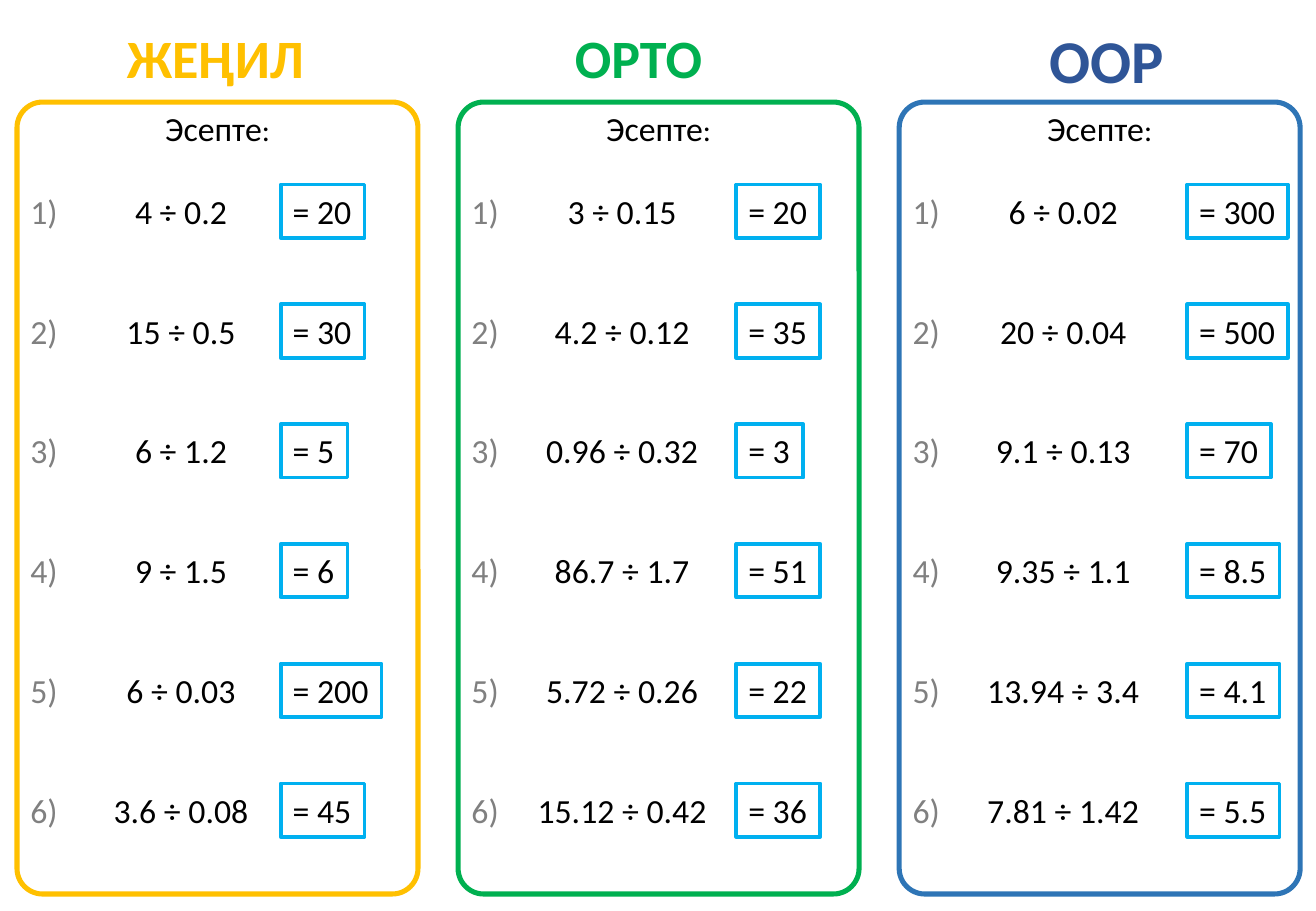
import pptx
import pptx.util
import pptx.dml.color
import pptx.enum.shapes
import pptx.enum.text

Inches = pptx.util.Inches
Pt = pptx.util.Pt
RGBColor = pptx.dml.color.RGBColor
MSO_SHAPE = pptx.enum.shapes.MSO_SHAPE
PP_ALIGN = pptx.enum.text.PP_ALIGN

BLACK = RGBColor(0x00, 0x00, 0x00)
WHITE = RGBColor(0xFF, 0xFF, 0xFF)
GRAY = RGBColor(0x80, 0x80, 0x80)
YELLOW = RGBColor(0xFF, 0xC0, 0x00)
GREEN = RGBColor(0x00, 0xB0, 0x50)
BLUE = RGBColor(0x2E, 0x75, 0xB6)
DARK_BLUE = RGBColor(0x2F, 0x55, 0x97)
SKY_BLUE = RGBColor(0x00, 0xB0, 0xF0)

LEVELS = [
    ("ЖЕҢИЛ", 32, YELLOW, YELLOW, (0.72, 0.15, 2.11, 0.64), 2.31,
     [("4 ÷ 0.2", "20"), ("15 ÷ 0.5", "30"), ("6 ÷ 1.2", "5"),
      ("9 ÷ 1.5", "6"), ("6 ÷ 0.03", "200"), ("3.6 ÷ 0.08", "45")]),
    ("ОРТО", 32, GREEN, GREEN, (4.37, 0.15, 1.77, 0.64), 6.06,
     [("3 ÷ 0.15", "20"), ("4.2 ÷ 0.12", "35"), ("0.96 ÷ 0.32", "3"),
      ("86.7 ÷ 1.7", "51"), ("5.72 ÷ 0.26", "22"), ("15.12 ÷ 0.42", "36")]),
    ("ООР", 36, DARK_BLUE, BLUE, (8.39, 0.14, 1.43, 0.71), 9.77,
     [("6 ÷ 0.02", "300"), ("20 ÷ 0.04", "500"), ("9.1 ÷ 0.13", "70"),
      ("9.35 ÷ 1.1", "8.5"), ("13.94 ÷ 3.4", "4.1"), ("7.81 ÷ 1.42", "5.5")]),
]


def write(sp, runs, color, align=PP_ALIGN.CENTER, bold=False, wrap=False):
    tf = sp.text_frame
    tf.word_wrap = wrap
    tf.auto_size = pptx.enum.text.MSO_AUTO_SIZE.SHAPE_TO_FIT_TEXT
    tf.vertical_anchor = pptx.enum.text.MSO_ANCHOR.TOP
    p = tf.paragraphs[0]
    p.alignment = align
    for text, size in runs:
        r = p.add_run()
        r.text = text
        r.font.name = "Calibri"
        r.font.size = Pt(size)
        r.font.bold = bold
        r.font.color.rgb = color


def text_width(text, base):
    return base + 0.14 * sum(c.isdigit() for c in text) + 0.07 * text.count(".")


prs = pptx.Presentation()
prs.slide_width = Inches(10.83)
prs.slide_height = Inches(7.5)
s = prs.slides.add_slide(prs.slide_layouts[5])

for col, (name, size, color, border, box, answer_left, tasks) in enumerate(LEVELS):
    left = 0.14 + 3.63 * col
    panel = s.shapes.add_shape(MSO_SHAPE.ROUNDED_RECTANGLE, Inches(left),
                               Inches(0.84), Inches(3.3), Inches(6.52))
    panel.adjustments[0] = 0.064
    panel.shadow.inherit = False
    panel.fill.background()
    panel.line.color.rgb = border
    panel.line.width = Pt(3)

    x, y, w, h = [Inches(v) for v in box]
    if col == 0:
        heading = s.shapes.title
        heading.left, heading.top, heading.width, heading.height = x, y, w, h
    else:
        heading = s.shapes.add_textbox(x, y, w, h)
    write(heading, [(name, size)], color, bold=True, wrap=True)

    prompt = s.shapes.add_textbox(Inches(left + 1.11), Inches(0.84),
                                  Inches(1.08), Inches(0.44))
    write(prompt, [("Эсепте", 20), (":", 18)], BLACK)

    for row, (task, result) in enumerate(tasks):
        top = 1.52 + 4.93 * row / 5
        number = s.shapes.add_textbox(Inches(left - 0.01), Inches(top + 0.05),
                                      Inches(0.35), Inches(0.34))
        tf = number.text_frame
        tf.margin_left = Inches(0.12)
        tf.margin_top = tf.margin_right = tf.margin_bottom = 0
        write(number, [(f"{row + 1})", 20)], GRAY, PP_ALIGN.LEFT)

        answer = s.shapes.add_shape(MSO_SHAPE.RECTANGLE, Inches(answer_left), Inches(top),
                                    Inches(text_width(result, 0.41)), Inches(0.44))
        answer.shadow.inherit = False
        answer.fill.solid()
        answer.fill.fore_color.rgb = WHITE
        answer.line.color.rgb = SKY_BLUE
        answer.line.width = Pt(2.25)
        write(answer, [(f"= {result}", 20)], BLACK, PP_ALIGN.LEFT)

        width = text_width(task, 0.48)
        expression = s.shapes.add_textbox(Inches(left + 1.35 - width / 2), Inches(top),
                                          Inches(width), Inches(0.44))
        write(expression, [(task, 20)], BLACK)

prs.save("out.pptx")
